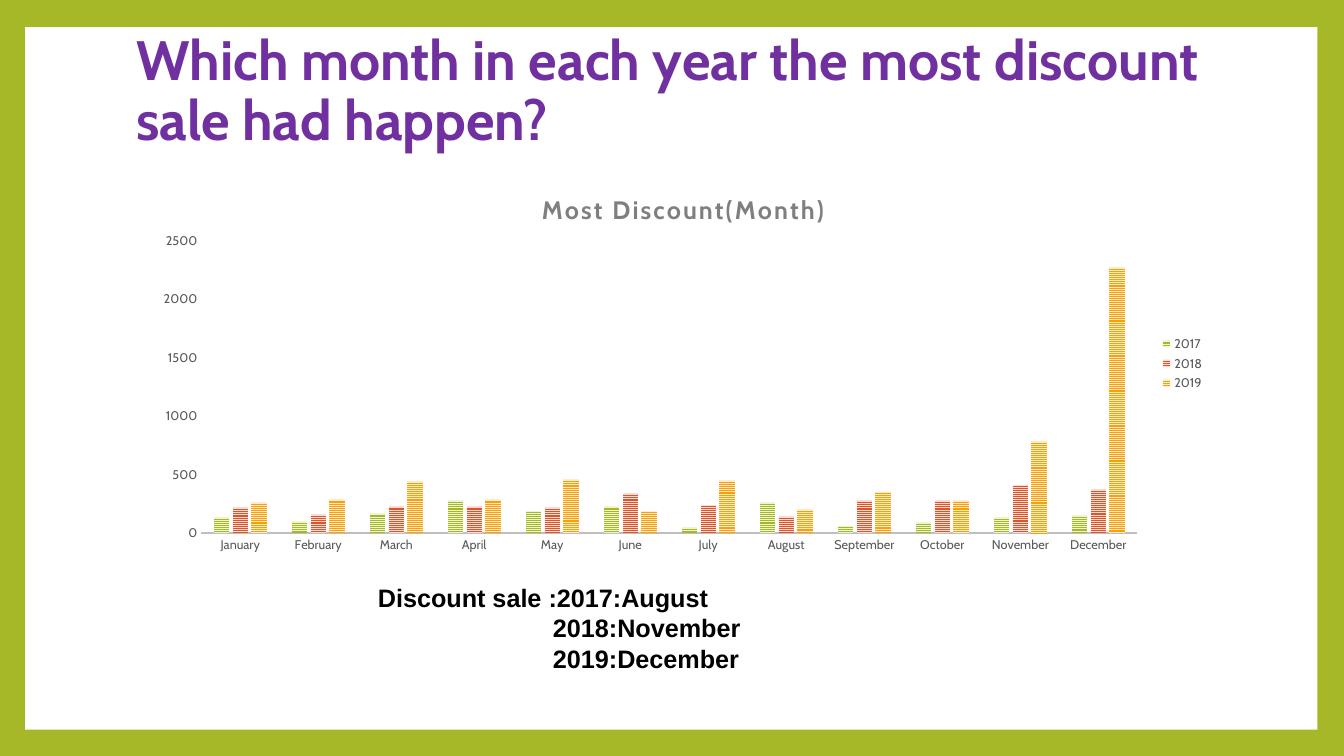
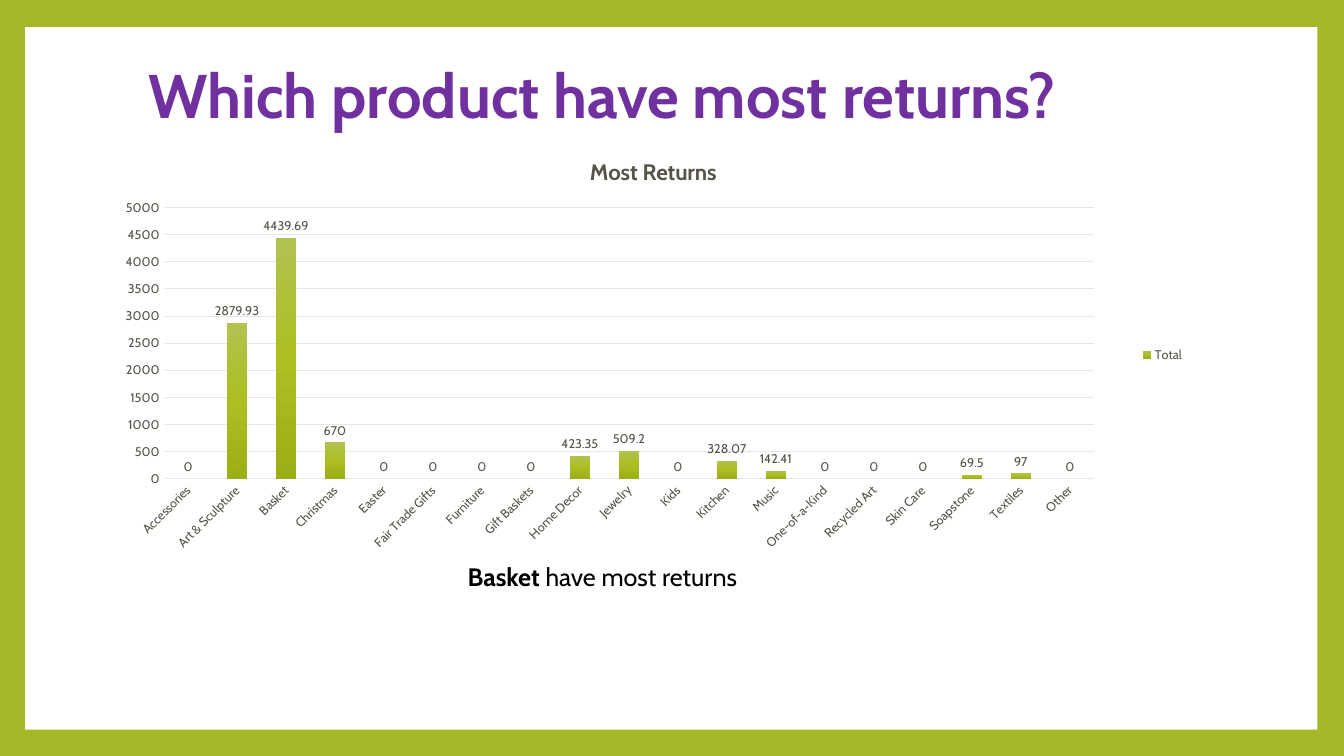
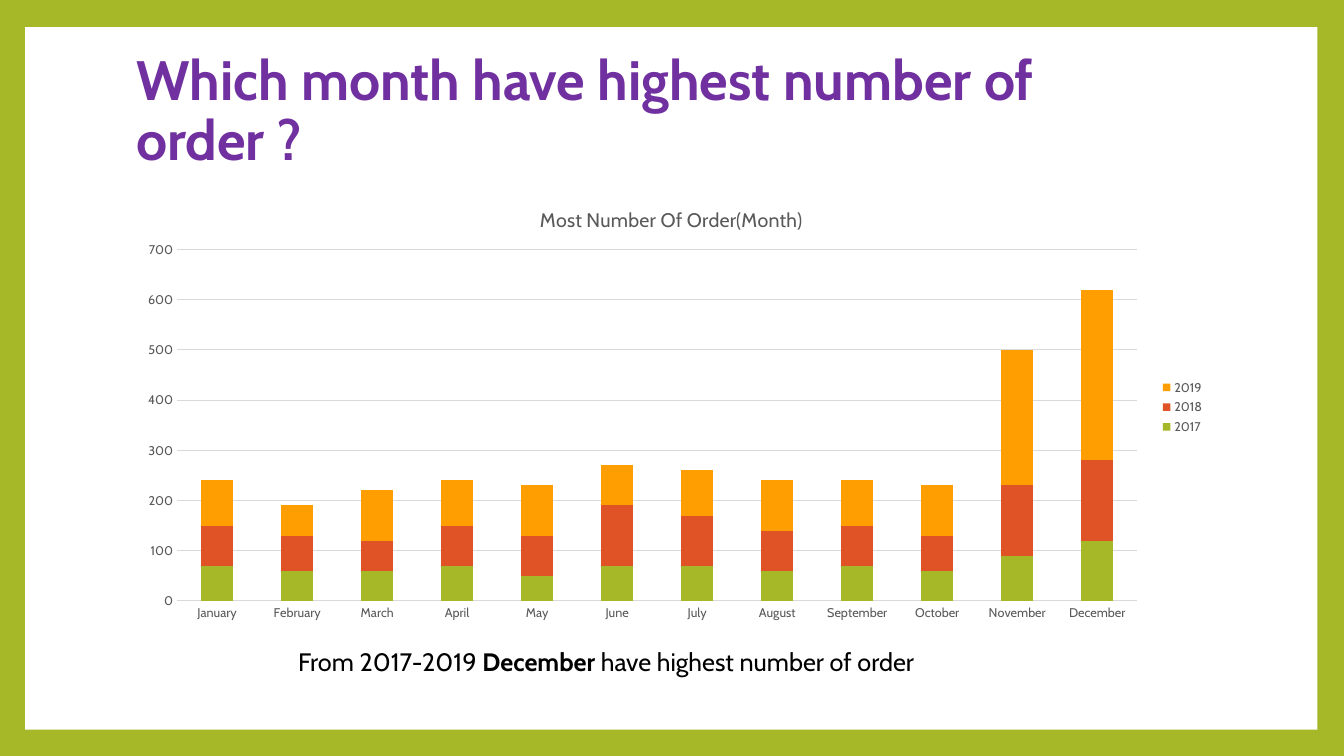
"""Build three retail analysis slides, each with a title, a column chart and a finding."""
from copy import deepcopy

from pptx import Presentation
from pptx.chart.data import CategoryChartData
from pptx.dml.color import RGBColor
from pptx.enum.chart import XL_CHART_TYPE as ChartType, XL_LABEL_POSITION as LabelPosition
from pptx.enum.chart import XL_LEGEND_POSITION as LegendPosition, XL_TICK_MARK as TickMark
from pptx.enum.dml import MSO_PATTERN as Pattern
from pptx.enum.shapes import MSO_SHAPE as Shape
from pptx.enum.text import MSO_ANCHOR as Anchor, MSO_AUTO_SIZE as AutoSize, PP_ALIGN as Align
from pptx.oxml import parse_xml
from pptx.oxml.ns import nsdecls, qn
from pptx.util import Pt

COLOURS = {
    "green": "A6B727", "red": "DF5327", "orange": "FE9E00",
    "pale green": "F0F5D0", "pale red": "F9DDD4", "pale orange": "FFECCC",
    "light green": "B2C251", "mid green": "ACBE20", "deep green": "9DAF16",
    "white": "FFFFFF", "black": "000000", "purple": "7030A0",
    "grey": "595959", "title grey": "7F7F7F", "axis grey": "BFBFBF", "grid grey": "D9D9D9",
    "brown": "565349", "grid brown": "E7E6E3",
}
YEAR_COLOURS = ["green", "red", "orange"]
MONTHS = ["January", "February", "March", "April", "May", "June", "July",
          "August", "September", "October", "November", "December"]


def colour(name):
    return RGBColor.from_string(COLOURS[name])


class Deck:
    """Holds the shared style and the current slide."""

    font_name = "Cabin"

    def __init__(self):
        self.presentation = Presentation()
        self.presentation.slide_width = Pt(960)
        self.presentation.slide_height = Pt(540)
        background = self.presentation.slide_master.background.fill
        background.solid()
        background.fore_color.rgb = colour("green")
        self.slide = None

    def style(self, font, size, name, bold=None, typeface=None):
        font.size = Pt(size)
        font.name = typeface or self.font_name
        font.color.rgb = colour(name)
        font.bold = bold

    def new_slide(self, title, left, top, size=39.6):
        self.slide = self.presentation.slides.add_slide(self.presentation.slide_layouts[5])
        panel = self.slide.shapes.add_shape(Shape.RECTANGLE, Pt(18), Pt(19.44), Pt(923), Pt(501.84))
        panel.shadow.inherit = False
        panel.fill.solid()
        panel.fill.fore_color.rgb = colour("white")
        panel.line.fill.background()
        self.slide.shapes._spTree.insert(2, panel._element)

        shape = self.slide.shapes.title
        shape.left, shape.top, shape.width, shape.height = Pt(left), Pt(top), Pt(777.6), Pt(106.56)
        frame = shape.text_frame
        frame.text = title
        frame.auto_size = AutoSize.NONE
        frame.vertical_anchor = Anchor.MIDDLE
        paragraph = frame.paragraphs[0]
        paragraph.alignment = Align.LEFT
        paragraph.line_spacing = 0.9
        self.style(paragraph.font, size, "purple", True)

    def text(self, box, paragraphs, typeface=None, indent=0):
        shape = self.slide.shapes.add_textbox(*map(Pt, box))
        frame = shape.text_frame
        frame.word_wrap = True
        frame.auto_size = AutoSize.SHAPE_TO_FIT_TEXT
        for index, runs in enumerate(paragraphs):
            paragraph = frame.add_paragraph() if index else frame.paragraphs[0]
            self.style(paragraph.font, 18, "black", typeface=typeface)
            if index and indent:
                paragraph._p.get_or_add_pPr().set("marL", str(Pt(indent)))
            for words, bold in runs:
                run = paragraph.add_run()
                run.text = words
                run.font.bold = bold

    def place(self, parent, **values):
        layout = parent.find(qn("c:layout"))
        if layout is not None:
            parent.remove(layout)
        parts = "".join(f'<c:{key} val="{value}"/>' for key, value in values.items())
        layout = parse_xml(f'<c:layout {nsdecls("c")}><c:manualLayout>{parts}'
                           '</c:manualLayout></c:layout>')
        text = parent.find(qn("c:tx"))
        parent.insert(0 if text is None else 1, layout)

    def chart(self, kind, box, categories, series, plot_area, text="grey", grid="grid grey",
              axis=("grid grey", 0.75), gap=150, overlap=None, maximum=None, unit=None):
        data = CategoryChartData()
        data.categories = categories
        for name, values in series.items():
            data.add_series(name, values)
        chart = self.slide.shapes.add_chart(kind, *map(Pt, box), data).chart
        self.style(chart.font, 10, "black")
        chart.has_legend = True
        chart.legend.position = LegendPosition.RIGHT
        chart.legend.include_in_layout = False
        self.style(chart.legend.font, 9, text)

        for part in (chart.category_axis, chart.value_axis):
            part.major_tick_mark = part.minor_tick_mark = TickMark.NONE
            self.style(part.tick_labels.font, 9, text)
        line = chart.category_axis.format.line
        line.color.rgb = colour(axis[0])
        line.width = Pt(axis[1])
        values = chart.value_axis
        values.format.line.fill.background()
        values.minimum_scale, values.maximum_scale, values.major_unit = 0, maximum, unit
        values.has_major_gridlines = grid is not None
        if grid:
            line = values.major_gridlines.format.line
            line.color.rgb = colour(grid)
            line.width = Pt(0.75)

        plot = chart.plots[0]
        plot.vary_by_categories = False
        plot.gap_width = gap
        if overlap is not None:
            plot.overlap = overlap
        x, y, width, height = plot_area
        self.place(chart._chartSpace.chart.plotArea, layoutTarget="inner", xMode="edge",
                   yMode="edge", x=x, y=y, w=width, h=height)
        return chart

    def chart_title(self, chart, words, size, name, x, y, bold=False, spacing=0):
        chart.has_title = True
        title = chart.chart_title
        title.include_in_layout = False
        title.text_frame.text = words
        run = title.text_frame.paragraphs[0].runs[0]
        self.style(run.font, size, name, bold)
        run.font._element.set("spc", str(spacing))
        self.place(title._element, xMode="edge", yMode="edge", x=x, y=y)

    def solid(self, chart):
        for series, name in zip(chart.plots[0].series, YEAR_COLOURS):
            series.format.fill.solid()
            series.format.fill.fore_color.rgb = colour(name)

    def striped(self, chart):
        for series, name in zip(chart.plots[0].series, YEAR_COLOURS):
            fill = series.format.fill
            fill.patterned()
            fill.pattern = Pattern.NARROW_HORIZONTAL
            fill.fore_color.rgb = colour(name)
            fill.back_color.rgb = colour(f"pale {name}")

    def gradient(self, chart, names):
        series = chart.plots[0].series[0]
        fill = series.format.fill
        fill.gradient()
        fill.gradient_angle = 270
        stops = series._element.find(".//" + qn("a:gsLst"))
        stops.insert(1, deepcopy(stops[0]))
        for index, (stop, name) in enumerate(zip(fill.gradient_stops, names)):
            stop.position = index / 2
            stop.color.rgb = colour(name)

    def value_labels(self, chart, name):
        plot = chart.plots[0]
        plot.has_data_labels = True
        labels = plot.data_labels
        labels.show_value = True
        labels.position = LabelPosition.OUTSIDE_END
        self.style(labels.font, 9, name)


def discount_slide(deck):
    deck.new_slide("Which month in each year the most discount sale had happen?", 90, 13)
    chart = deck.chart(
        ChartType.COLUMN_CLUSTERED, (100.8, 118.8, 766.8, 281.5), MONTHS,
        {"2017": [130, 100, 170, 280, 190, 230, 50, 260, 60, 90, 130, 150],
         "2018": [220, 160, 230, 230, 220, 340, 240, 140, 280, 280, 410, 370],
         "2019": [260, 290, 440, 290, 460, 190, 450, 200, 350, 280, 780, 2270]},
        (0.056, 0.188, 0.872, 0.742), grid=None, axis=("axis grey", 1.5),
        gap=164, overlap=-22, maximum=2500, unit=500)
    deck.striped(chart)
    deck.chart_title(chart, "Most Discount(Month)", 18, "title grey", 0.369, 0.055, True, 150)
    deck.text((262.8, 412.56, 785.5, 72.7),
              [[("Discount sale :2017:August", True)], [("2018:November", True)],
               [("2019:December", True)]], "Arial", 125)


def returns_slide(deck):
    deck.new_slide("Which product have most returns?", 98.64, 17, 44)
    returns = {
        "Accessories": 0, "Art & Sculpture": 2879.93, "Basket": 4439.69, "Christmas": 670,
        "Easter": 0, "Fair Trade Gifts": 0, "Furniture": 0, "Gift Baskets": 0,
        "Home Decor": 423.35, "Jewelry": 509.2, "Kids": 0, "Kitchen": 328.07,
        "Music": 142.41, "One-of-a-Kind": 0, "Recycled Art": 0, "Skin Care": 0,
        "Soapstone": 69.5, "Textiles": 97, "Other": 0,
    }
    chart = deck.chart(
        ChartType.COLUMN_CLUSTERED, (75.6, 94.32, 777.6, 318.24), list(returns),
        {"Total": list(returns.values())}, (0.053, 0.17, 0.855, 0.608),
        text="brown", grid="grid brown", axis=("grid brown", 0.75), maximum=5000, unit=500)
    deck.gradient(chart, ["light green", "mid green", "deep green"])
    deck.value_labels(chart, "brown")
    chart.category_axis._element.find(qn("c:txPr")).find(qn("a:bodyPr")).set("rot", "-2700000")
    deck.chart_title(chart, "Most Returns", 16, "brown", 0.441, 0.046, True)
    deck.text((326.88, 397.44, 525.6, 28.8), [[("Basket ", True), ("have most returns", False)]])


def orders_slide(deck):
    deck.new_slide("Which month have highest number of order ?", 90, 27)
    chart = deck.chart(
        ChartType.COLUMN_STACKED, (90, 131.76, 777.6, 318.24), MONTHS,
        {"2017": [70, 60, 60, 70, 50, 70, 70, 60, 70, 60, 90, 120],
         "2018": [80, 70, 60, 80, 80, 120, 100, 80, 80, 70, 140, 160],
         "2019": [90, 60, 100, 90, 100, 80, 90, 100, 90, 100, 270, 340]},
        (0.047, 0.146, 0.882, 0.789), overlap=100, maximum=700, unit=100)
    deck.solid(chart)
    deck.chart_title(chart, "Most Number Of Order(Month)", 14, "grey", 0.377, 0.042)
    deck.text((205.92, 457.92, 635.8, 28.8),
              [[("From 2017-2019 ", False), ("December", True),
                (" have highest number of order", False)]])


def main():
    deck = Deck()
    for build in (discount_slide, returns_slide, orders_slide):
        build(deck)
    deck.presentation.save("out.pptx")


if __name__ == "__main__":
    main()
